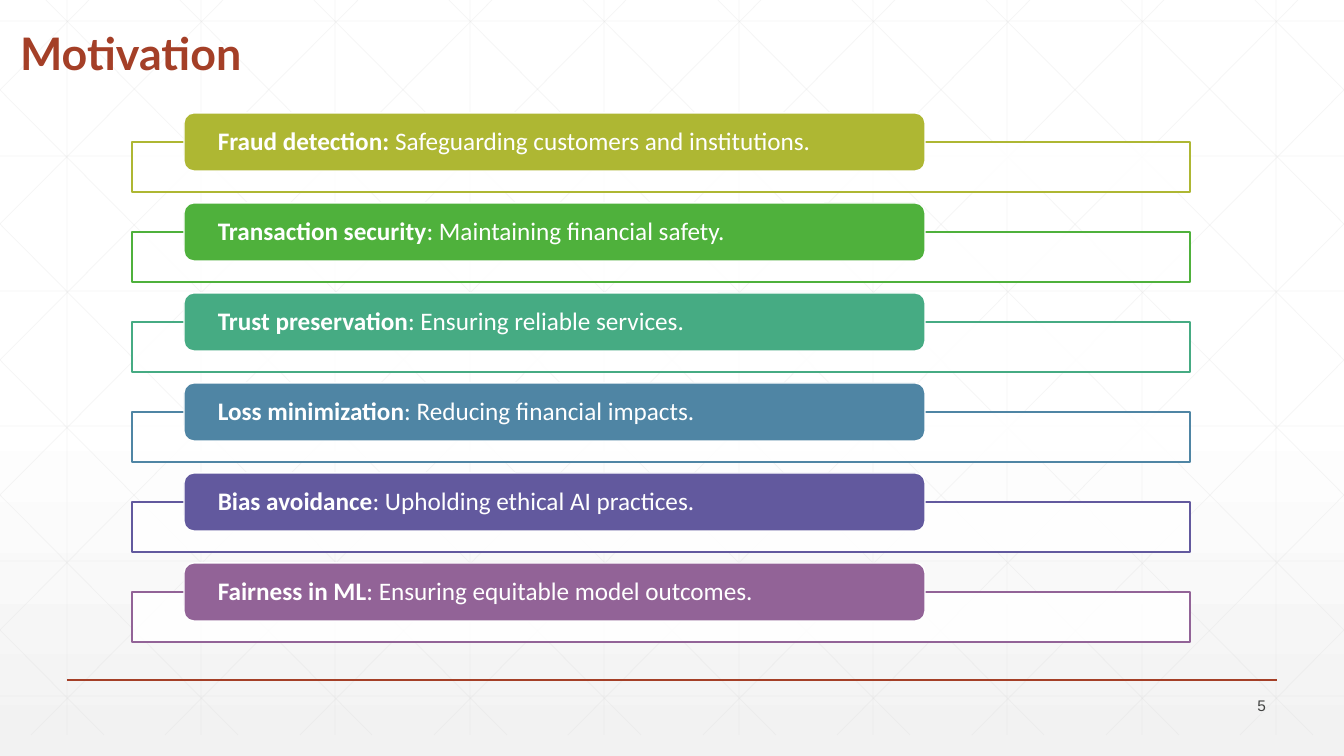
from lxml import etree
from pptx import Presentation
from pptx import util as u
from pptx.dml.color import RGBColor
from pptx.enum import shapes, text
from pptx.oxml.ns import qn

WIDTH, HEIGHT = 1344, 756
GRID_BOTTOM = 735
COLORS = {"rust": "A43F27", "white": "FFFFFF", "mist": "F2F2F2",
          "grid": "D9D9D9", "gray": "424342"}
REASONS = [
    ("Fraud detection:", " Safeguarding customers and institutions.", "AEB733"),
    ("Transaction security", ": Maintaining financial safety.", "4FB13C"),
    ("Trust preservation", ": Ensuring reliable services.", "46AB83"),
    ("Loss minimization", ": Reducing financial impacts.", "4F85A4"),
    ("Bias avoidance", ": Upholding ethical AI practices.", "62599E"),
    ("Fairness in ML", ": Ensuring equitable model outcomes.", "926397"),
]


def px(n):
    return u.Emu(round(n * 914400 / 100.8))


def rgb(color):
    return RGBColor.from_string(COLORS.get(color, color))


def set_alpha(fill_parent, percent):
    clr = next(fill_parent.iter(qn("a:srgbClr")))
    etree.SubElement(clr, qn("a:alpha")).set("val", str(percent * 1000))


def write(tf, runs, size, font, color, align=text.PP_ALIGN.LEFT,
          anchor=text.MSO_ANCHOR.MIDDLE, spacing=None):
    tf.word_wrap = True
    tf.auto_size = text.MSO_AUTO_SIZE.NONE
    tf.vertical_anchor = anchor
    p = tf.paragraphs[0]
    p.alignment = align
    p.line_spacing = spacing
    for words, bold in runs:
        r = p.add_run()
        r.text = words
        r.font.size, r.font.name, r.font.bold = u.Pt(size), font, bold
        r.font.color.rgb = rgb(color)


class Deck:
    """Holds the presentation, its current slide and the drawing style."""

    def __init__(self):
        self.prs = Presentation()
        self.prs.slide_width, self.prs.slide_height = px(WIDTH), px(HEIGHT)
        self.s = self.prs.slides.add_slide(self.prs.slide_layouts[5])

    def background(self):
        fill = self.s.background.fill
        fill.gradient()
        fill.gradient_angle = 270
        for stop, position, color in zip(fill.gradient_stops, (0.53, 1), ("white", "mist")):
            stop.position = position
            stop.color.rgb = rgb(color)

    def line(self, x1, y1, x2, y2, color, width, alpha=100):
        c = self.s.shapes.add_connector(shapes.MSO_CONNECTOR.STRAIGHT,
                                        px(x1), px(y1), px(x2), px(y2))
        c.line.color.rgb = rgb(color)
        c.line.width = u.Pt(width)
        sp_pr = c.element.spPr
        if alpha < 100:
            set_alpha(sp_pr, alpha)
        etree.SubElement(sp_pr, qn("a:effectLst"))

    def grid(self):
        style = ("grid", 0.5, 25)
        for i in range(10):
            x = 67 + WIDTH * i // 10
            self.line(x, 0, x, GRID_BOTTOM, *style)
        for i in range(6):
            y = 21 + 135 * i
            self.line(0, y, WIDTH, y, *style)
        slope = 756 / 751
        for i in range(-5, 10):
            start = 46 + WIDTH * i // 10
            top = round(max(0, -start * slope))
            bottom = round(min(GRID_BOTTOM, (WIDTH - start) * slope))
            x1, x2 = (round(start + y / slope) for y in (top, bottom))
            self.line(x1, top, x2, bottom, *style)
            self.line(WIDTH - x1, top, WIDTH - x2, bottom, *style)

    def title(self, words):
        sp = self.s.shapes.title
        self.s.shapes.element.append(sp.element)
        sp.left, sp.top, sp.width, sp.height = map(px, (10, 26, 1159, 59))
        write(sp.text_frame, [(words, True)], 32, "Lato", "rust",
              anchor=text.MSO_ANCHOR.BOTTOM, spacing=0.9)

    def box(self, kind, x, y, w, h, fill, line):
        sp = self.s.shapes.add_shape(kind, px(x), px(y), px(w), px(h))
        sp.shadow.inherit = False
        sp.fill.solid()
        sp.fill.fore_color.rgb = rgb(fill)
        sp.line.color.rgb = rgb(line)
        sp.line.width = u.Pt(1)
        return sp

    def reason(self, y, head, tail, color):
        frame = self.box(shapes.MSO_SHAPE.RECTANGLE, 132, y + 29, 1058, 50, "white", color)
        set_alpha(frame.element.spPr, 90)
        card = self.box(shapes.MSO_SHAPE.ROUNDED_RECTANGLE, 184, y, 741, 58, color, "white")
        tf = card.text_frame
        tf.margin_left = tf.margin_right = px(31)
        tf.margin_top = tf.margin_bottom = 0
        write(tf, [(head, True), (tail, False)], 18, "Calibri", "white", spacing=0.9)

    def label(self, words, x, y, w, h, **style):
        sp = self.s.shapes.add_textbox(px(x), px(y), px(w), px(h))
        write(sp.text_frame, [(words, False)], **style)


def main():
    deck = Deck()
    deck.background()
    deck.grid()
    deck.line(67, 680, 1277, 680, "rust", 1)
    deck.title("Motivation")
    for i, reason in enumerate(REASONS):
        deck.reason(113 + 90 * i, *reason)
    deck.label("5", 1175, 693, 101, 24, size=11, font="Arial", color="gray",
               align=text.PP_ALIGN.RIGHT)
    deck.prs.save("out.pptx")


if __name__ == "__main__":
    main()
